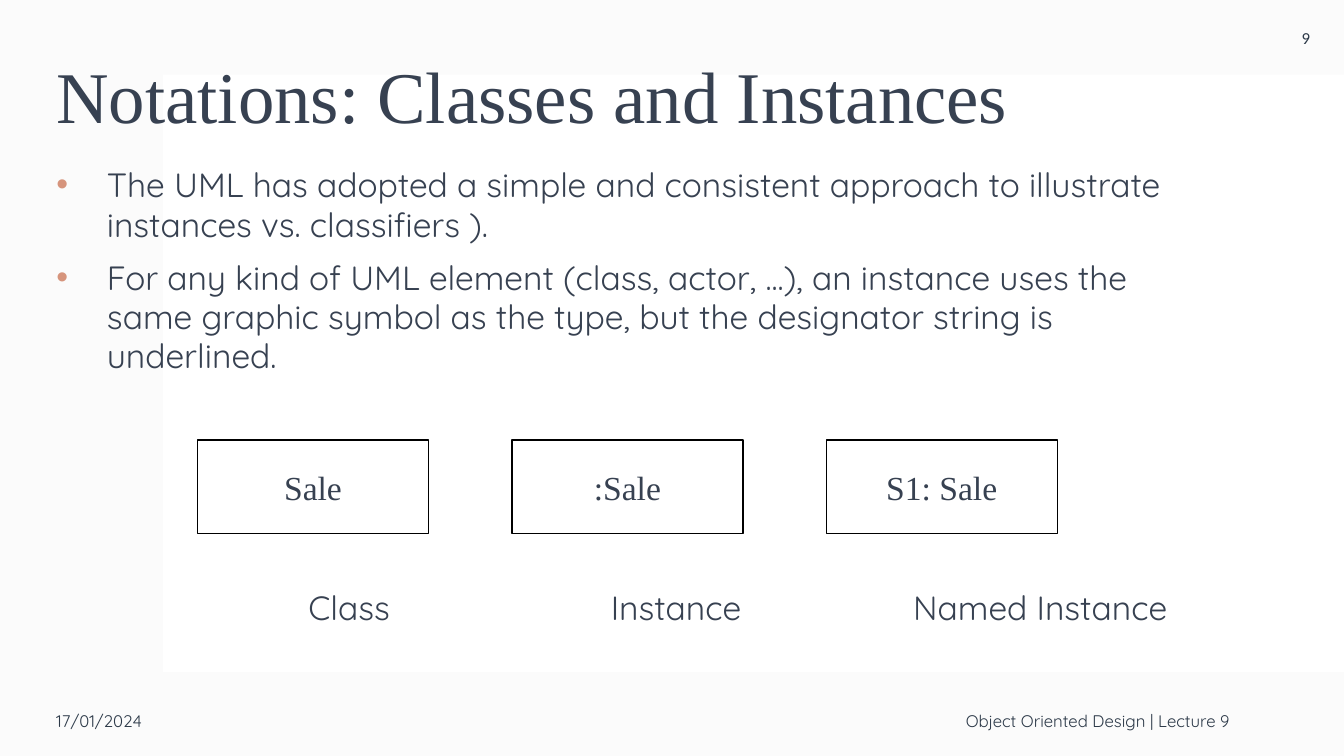
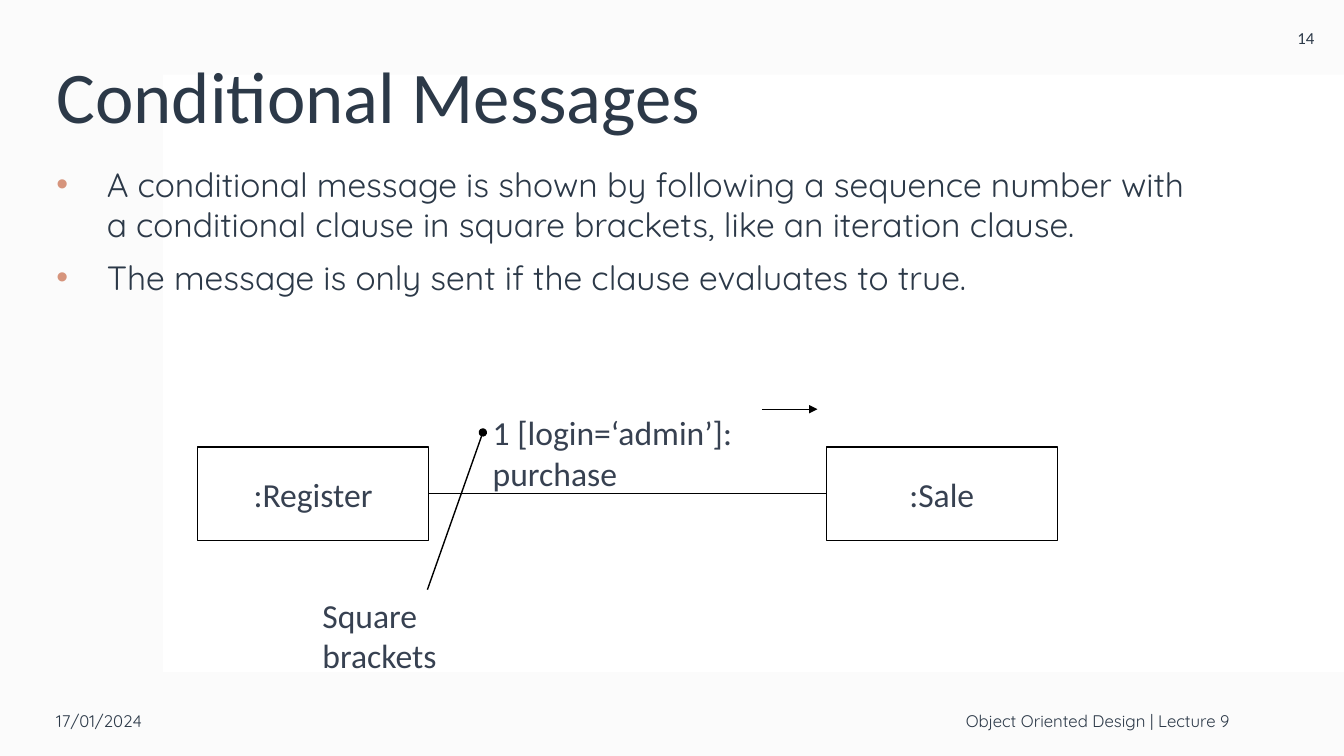
import lxml.etree
import pptx
import pptx.dml.color
import pptx.enum.shapes
import pptx.enum.text
import pptx.oxml.ns
import pptx.util

Pt = pptx.util.Pt
qn = pptx.oxml.ns.qn
ALIGN = pptx.enum.text.PP_ALIGN
ANCHOR = pptx.enum.text.MSO_ANCHOR
RECTANGLE = pptx.enum.shapes.MSO_SHAPE.RECTANGLE
STRAIGHT = pptx.enum.shapes.MSO_CONNECTOR.STRAIGHT

SLATE, NAVY, CORAL = "374151", "2C3948", "D6947C"
WHITE, BLACK, MIST = "FFFFFF", "000000", "F4F4F4"
SERIF, SANS, ROUNDED = "Times New Roman", "Calibri", "Quicksand"

PAGE = (0, 0, 960, 540)
PANEL = (116.6, 53.3, 843.4, 426.7)
TITLE = (33.1, 28.8, 830.2, 85.7)
BODY = (33.1, 114.5, 830.2, 383.8)
NUMBER = (905.8, 0, 54, 54)
DATE = (33.1, 489.6, 216, 50.4)
COURSE = (296.6, 489.6, 589, 50.4)
CLASS_ROW = (141.1, 314.4, 614.1, 66.6)
LABEL_ROW = (220.3, 418.7, 648, 30)
MESSAGE_ROW = (141.1, 319.4, 614.1, 66.6)
NODE_WIDTH = 165


def color(hex_code):
    return pptx.dml.color.RGBColor.from_string(hex_code)


def lengths(box):
    return [Pt(value) for value in box]


def add_run(paragraph, text, size, font, ink):
    run = paragraph.add_run()
    run.text = text
    run.font.size = Pt(size)
    run.font.name = font
    run.font.color.rgb = color(ink)


def add_text(slide, box, text, size, font, ink, align=ALIGN.LEFT, anchor=ANCHOR.MIDDLE, inset=7.2):
    frame = slide.shapes.add_textbox(*lengths(box)).text_frame
    frame.word_wrap = True
    frame.vertical_anchor = anchor
    frame.margin_left = frame.margin_right = Pt(inset)
    paragraph = frame.paragraphs[0]
    paragraph.alignment = align
    add_run(paragraph, text, size, font, ink)


def add_panel(slide, box, fill):
    panel = slide.shapes.add_shape(RECTANGLE, *lengths(box))
    panel.shadow.inherit = False
    panel.fill.solid()
    panel.fill.fore_color.rgb = color(fill)
    panel.line.fill.background()
    return panel


def add_node(slide, box, text, font):
    node = add_panel(slide, box, WHITE)
    node.line.color.rgb = color(BLACK)
    node.line.width = Pt(1)
    node.text_frame.vertical_anchor = ANCHOR.MIDDLE
    paragraph = node.text_frame.paragraphs[0]
    paragraph.alignment = ALIGN.CENTER
    add_run(paragraph, text, 24, font, SLATE)
    return node


def add_line(slide, start, end, width, **ends):
    line = slide.shapes.add_connector(STRAIGHT, *lengths(start + end))
    line.line.color.rgb = color(BLACK)
    line.line.width = Pt(width)
    properties = line.element.spPr
    for tag, kind in ends.items():
        lxml.etree.SubElement(properties.find(qn("a:ln")), qn(f"a:{tag}"), type=kind)
    lxml.etree.SubElement(properties, qn("a:effectLst"))
    return line


def move_placeholder(placeholder, box):
    placeholder.left, placeholder.top, placeholder.width, placeholder.height = lengths(box)
    frame = placeholder.text_frame
    frame.auto_size = pptx.enum.text.MSO_AUTO_SIZE.NONE
    frame.word_wrap = True
    return frame


def fill_title(slide, box, text, font, ink):
    frame = move_placeholder(slide.shapes.title, box)
    frame.vertical_anchor = ANCHOR.MIDDLE
    heading = frame.paragraphs[0]
    heading.alignment = ALIGN.LEFT
    heading.line_spacing = 0.9
    add_run(heading, text, 52, font, ink)


def fill_points(slide, box, points, ink):
    frame = move_placeholder(slide.placeholders[1], box)
    for index, text in enumerate(points):
        point = frame.add_paragraph() if index else frame.paragraphs[0]
        point.line_spacing = Pt(28)
        point.space_before = Pt(10)
        add_run(point, text, 24, ROUNDED, ink)
        properties = point._p.get_or_add_pPr()
        properties.set("marL", str(Pt(36)))
        properties.set("indent", str(-Pt(36)))
        bullet_color = lxml.etree.SubElement(properties, qn("a:buClr"))
        lxml.etree.SubElement(bullet_color, qn("a:srgbClr"), val=CORAL)
        lxml.etree.SubElement(properties, qn("a:buFont"), typeface="Arial")
        lxml.etree.SubElement(properties, qn("a:buChar"), char="•")


def add_master_panels(deck, slide):
    veil = add_panel(slide, PAGE, MIST)
    tint = next(veil.element.spPr.iter(qn("a:srgbClr")))
    lxml.etree.SubElement(tint, qn("a:alpha"), val="35000")
    sheet = add_panel(slide, PANEL, WHITE)
    for index, panel in enumerate((veil, sheet)):
        panel.element.nvSpPr.cNvPr.set("id", str(100 + index))
        deck.slide_master.shapes.element.insert(2 + index, panel.element)


def add_lecture_slide(deck, number, title, title_font, points, ink):
    slide = deck.slides.add_slide(deck.slide_layouts[1])
    fill_title(slide, TITLE, title, title_font, ink)
    fill_points(slide, BODY, points, ink)
    add_text(slide, NUMBER, number, 12, SANS, NAVY, ALIGN.CENTER)
    add_text(slide, DATE, "17/01/2024", 12, ROUNDED, NAVY)
    add_text(slide, COURSE, "Object Oriented Design | Lecture 9", 12, ROUNDED, NAVY, ALIGN.RIGHT)
    return slide


def draw_class_row(slide, box, names):
    left, top, width, height = box
    step = (width - NODE_WIDTH) / (len(names) - 1)
    for index, name in enumerate(names):
        add_node(slide, (left + index * step, top, NODE_WIDTH, height), name, SERIF)


def draw_label_row(slide, box, labels):
    left, top, width, height = box
    step = width / len(labels)
    for index, label in enumerate(labels):
        add_text(slide, (left + index * step, top, step, height), label, 24, ROUNDED, SLATE, inset=0)


def draw_message(slide, box):
    left, top, width, height = box
    right = left + width
    middle = top + height / 2
    sender = add_node(slide, (left, top, NODE_WIDTH, height), ":Register", SANS)
    receiver = add_node(slide, (right - NODE_WIDTH, top, NODE_WIDTH, height), ":Sale", SANS)
    link = add_line(slide, (left + NODE_WIDTH, middle), (right - NODE_WIDTH, middle), 0.5)
    link.begin_connect(sender, 3)
    link.end_connect(receiver, 1)
    captions = (
        ("1 [login=‘admin’]: purchase", 203.8, -28.5, 200),
        ("Square brackets", 82.1, 101.8, 110),
    )
    for caption, across, down, caption_width in captions:
        add_text(slide, (left + across, top + down, caption_width, 66), caption,
                 24, SANS, SLATE, anchor=ANCHOR.TOP)
    add_line(slide, (left + 403.2, top - 27.1), (left + 442.8, top - 27.1), 0.5, tailEnd="triangle")
    add_line(slide, (left + 203.8, top - 10.5), (left + 164.2, top + 101.8), 1, headEnd="oval")


def main():
    deck = pptx.Presentation()
    deck.slide_width, deck.slide_height = lengths(PAGE[2:])

    notations = add_lecture_slide(deck, "9", "Notations: Classes and Instances", SERIF, (
        "The UML has adopted a simple and consistent approach to illustrate instances vs. classifiers ).",
        "For any kind of UML element (class, actor, ...), an instance uses the same graphic symbol "
        "as the type, but the designator string is underlined.",
    ), SLATE)
    add_master_panels(deck, notations)
    draw_class_row(notations, CLASS_ROW, ("Sale", ":Sale", "S1: Sale"))
    draw_label_row(notations, LABEL_ROW, ("Class", "Instance", "Named Instance"))

    conditional = add_lecture_slide(deck, "14", "Conditional Messages", SANS, (
        "A conditional message is shown by following a sequence number with a conditional clause "
        "in square brackets, like an iteration clause.",
        "The message is only sent if the clause evaluates to true.",
    ), NAVY)
    draw_message(conditional, MESSAGE_ROW)

    deck.save("out.pptx")


if __name__ == "__main__":
    main()
